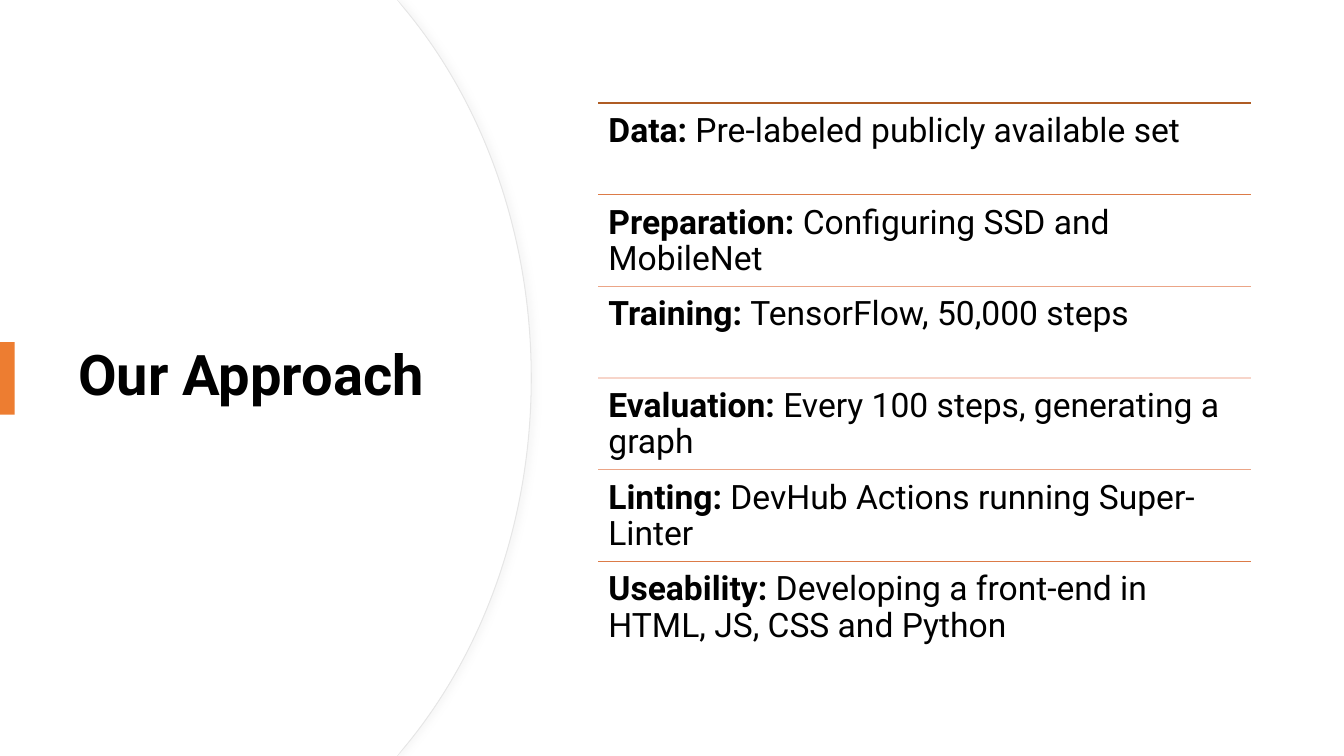
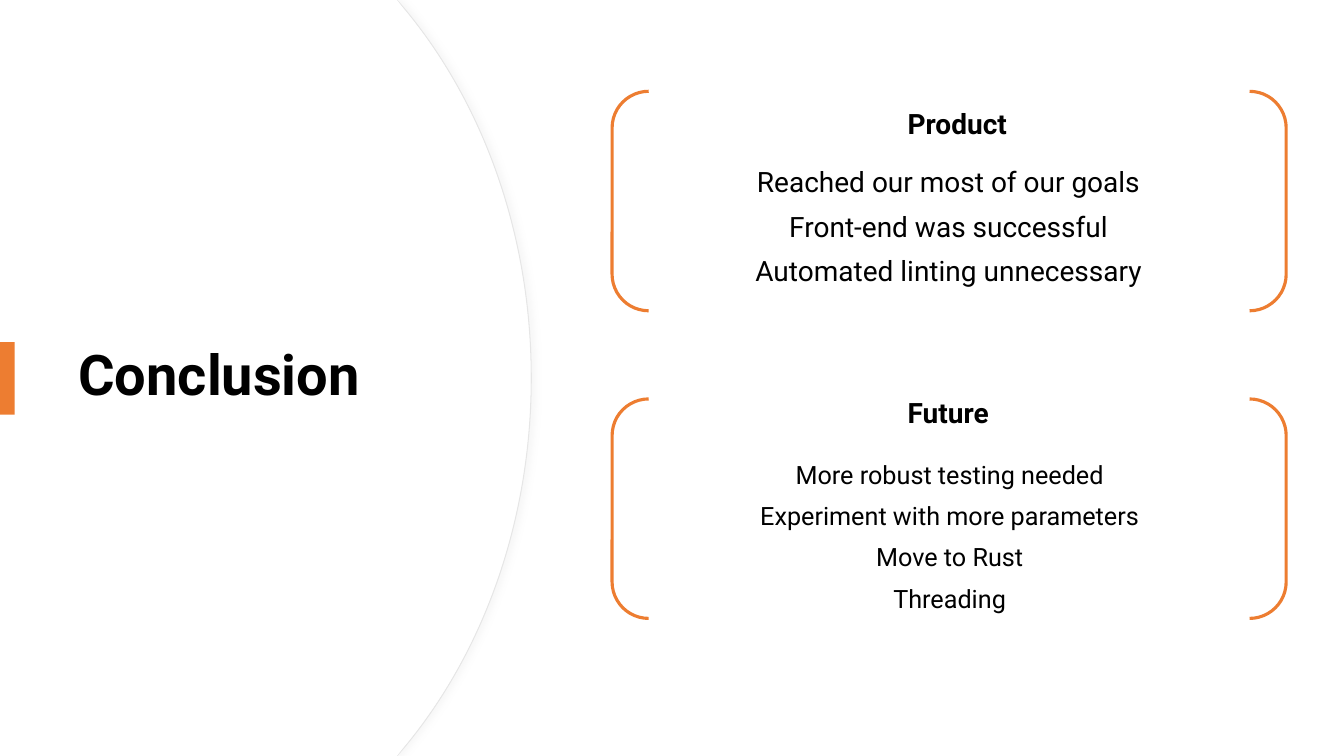
from lxml import etree
from pptx import Presentation
from pptx import util as u
from pptx.dml.color import RGBColor
from pptx.enum import shapes, text
from pptx.oxml import ns

PX = 9525  # EMU per px, 96 px to the inch
WIDTH, HEIGHT = 1280, 720

BLACK = RGBColor(0x00, 0x00, 0x00)
WHITE = RGBColor(0xFF, 0xFF, 0xFF)
ORANGE = RGBColor(0xED, 0x7D, 0x31)
PANEL_EDGE = RGBColor(0xE6, 0xE6, 0xE6)
PANEL_SHADOW = RGBColor(0xD9, 0xD9, 0xD9)
RUST = RGBColor(0xAF, 0x5C, 0x24)
COPPER = RGBColor(0xDC, 0x7B, 0x47)
PEACH = RGBColor(0xEB, 0xA5, 0x87)
BLUSH = RGBColor(0xF7, 0xD5, 0xCA)

STEPS = [
    (RUST, "Data:", "Pre-labeled publicly available set"),
    (COPPER, "Preparation:", "Configuring SSD and MobileNet"),
    (PEACH, "Training:", "TensorFlow, 50,000 steps"),
    (BLUSH, "Evaluation:", "Every 100 steps, generating a graph"),
    (PEACH, "Linting:", "DevHub Actions running Super-Linter"),
    (COPPER, "Useability:", "Developing a front-end in HTML, JS, CSS and Python"),
]


class Deck:
    """Holds the shared style and the current slide."""

    font = "Roboto"

    def __init__(self):
        self.prs = Presentation()
        self.prs.slide_width, self.prs.slide_height = self.emu(WIDTH, HEIGHT)
        self.s = None

    def emu(self, *lengths):
        return [u.Emu(round(n * PX)) for n in lengths]

    def style(self, p, size, bold=None, align=text.PP_ALIGN.LEFT, spacing=0.9):
        p.alignment, p.line_spacing = align, spacing
        f = p.font
        f.name, f.size, f.bold = self.font, u.Pt(size), bold
        f.color.rgb = BLACK

    def slide(self, title):
        """Start a slide with the curved panel, the title and the accent bar."""
        self.s = self.prs.slides.add_slide(self.prs.slide_layouts[5])
        self.panel(506, edged=True)
        self.panel(505)
        sp = self.s.shapes.title
        self.s.shapes._spTree.append(sp._element)  # in front of the panel
        sp.left, sp.top, sp.width, sp.height = self.emu(65, 122, 378, 475)
        tf = sp.text_frame
        tf.text = title
        tf.word_wrap, tf.auto_size = True, text.MSO_AUTO_SIZE.NONE
        tf.vertical_anchor = text.MSO_ANCHOR.MIDDLE
        self.style(tf.paragraphs[0], 40, bold=True)
        self.bar(0, 326, 14, 69)

    def panel(self, right, edged=False):
        """White panel whose right edge bulges out to `right` in two Bézier curves."""
        bend, upper, middle = right - 121, right - 46, HEIGHT // 2
        corners = [(378, 0), (bend, 8), (right, middle), (bend, HEIGHT - 8),
                   (378, HEIGHT), (0, HEIGHT)]
        controls = {2: [(upper, 98), (right, 223)],
                    3: [(right, HEIGHT - 223), (upper, HEIGHT - 98)]}
        builder = self.s.shapes.build_freeform(0, 0, scale=1.0)
        builder.add_line_segments([self.emu(*pt) for pt in corners])
        sp = builder.convert_to_shape()
        segments = list(sp._element.iter(ns.qn("a:lnTo")))
        for i, points in controls.items():
            segments[i].tag = ns.qn("a:cubicBezTo")
            for j, (x, y) in enumerate(points):
                pt = etree.Element(ns.qn("a:pt"), x=str(x * PX), y=str(y * PX))
                segments[i].insert(j, pt)
        sp.shadow.inherit = False
        sp.fill.solid()
        sp.fill.fore_color.rgb = WHITE
        if edged:
            sp.line.color.rgb, sp.line.width = PANEL_EDGE, u.Pt(0.75)
            self.cast_shadow(sp)
        else:
            sp.line.fill.background()

    def cast_shadow(self, sp):
        effects = sp._element.spPr.find(ns.qn("a:effectLst"))
        shadow = etree.SubElement(effects, ns.qn("a:outerShdw"), blurRad=str(u.Pt(4)),
                                  dist=str(u.Pt(3)), dir="0", rotWithShape="0")
        color = etree.SubElement(shadow, ns.qn("a:srgbClr"), val=str(PANEL_SHADOW))
        etree.SubElement(color, ns.qn("a:alpha"), val="20000")

    def bar(self, *box):
        sp = self.s.shapes.add_shape(shapes.MSO_SHAPE.RECTANGLE, *self.emu(*box))
        sp.shadow.inherit = False
        sp.fill.solid()
        sp.fill.fore_color.rgb = ORANGE
        sp.line.fill.background()

    def brackets(self, *box):
        sp = self.s.shapes.add_shape(shapes.MSO_SHAPE.DOUBLE_BRACKET, *self.emu(*box))
        sp.shadow.inherit = False
        sp.fill.background()
        sp.line.color.rgb, sp.line.width = ORANGE, u.Pt(2.25)

    def rule(self, x, y, width, color):
        line = self.s.shapes.add_connector(
            shapes.MSO_CONNECTOR.STRAIGHT, *self.emu(x, y, x + width, y))
        line.line.color.rgb, line.line.width = color, u.Pt(1)
        etree.SubElement(line._element.spPr, ns.qn("a:effectLst"))

    def text_frame(self, *box):
        tf = self.s.shapes.add_textbox(*self.emu(*box)).text_frame
        tf.word_wrap = True
        return tf

    def step(self, x, y, width, height, name, detail):
        tf = self.text_frame(x, y, width, height)
        tf.margin_top, tf.margin_bottom = self.emu(10, 10)
        p = tf.paragraphs[0]
        self.style(p, 24)
        r = p.add_run()
        r.text, r.font.bold = name + " ", True
        p.add_run().text = detail

    def heading(self, label, *box):
        p = self.text_frame(*box).paragraphs[0]
        p.text = label
        self.style(p, 20, bold=True, spacing=1.0)

    def centred_lines(self, lines, size, *box):
        tf = self.text_frame(*box)
        tf.text = "\n".join(lines)
        for p in tf.paragraphs:
            self.style(p, size, align=text.PP_ALIGN.CENTER)
            p.space_before = u.Pt(10)


def main():
    deck = Deck()

    deck.slide("Our Approach")
    x, top, width, height = 570, 98, 621, 524
    pitch = height / len(STEPS)
    for i, (color, name, detail) in enumerate(STEPS):
        y = top + i * pitch
        deck.rule(x, y, width, color)
        deck.step(x, y, width, pitch, name, detail)

    deck.slide("Conclusion")
    deck.centred_lines(["Reached our most of our goals", "Front-end was successful",
                        "Automated linting unnecessary"], 20, 583, 156, 641, 130)
    deck.heading("Product", 855, 97, 275, 42)
    deck.centred_lines(["More robust testing needed", "Experiment with more parameters",
                        "Move to Rust", "Threading"], 18, 588, 436, 633, 184)
    deck.heading("Future", 855, 372, 275, 42)
    for y in (87, 380):
        deck.brackets(583, y, 642, 209)

    deck.prs.save("out.pptx")


if __name__ == "__main__":
    main()
